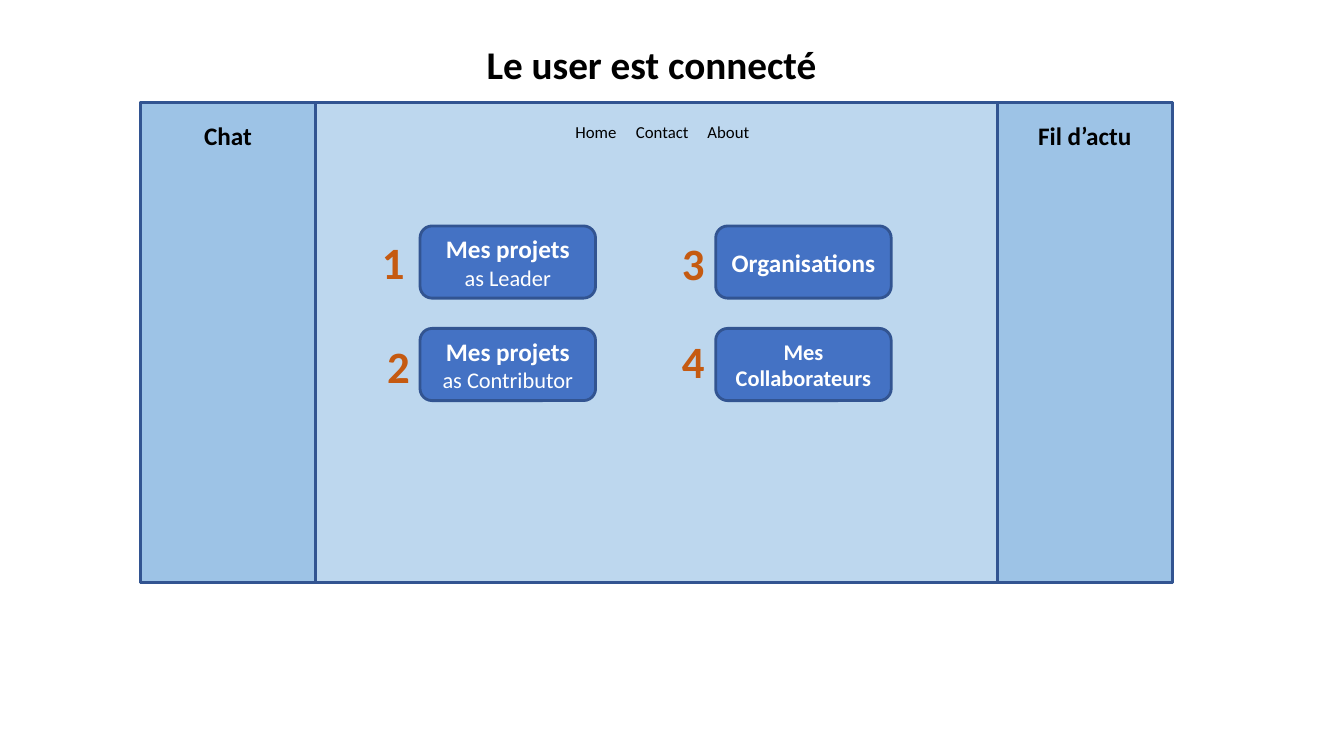
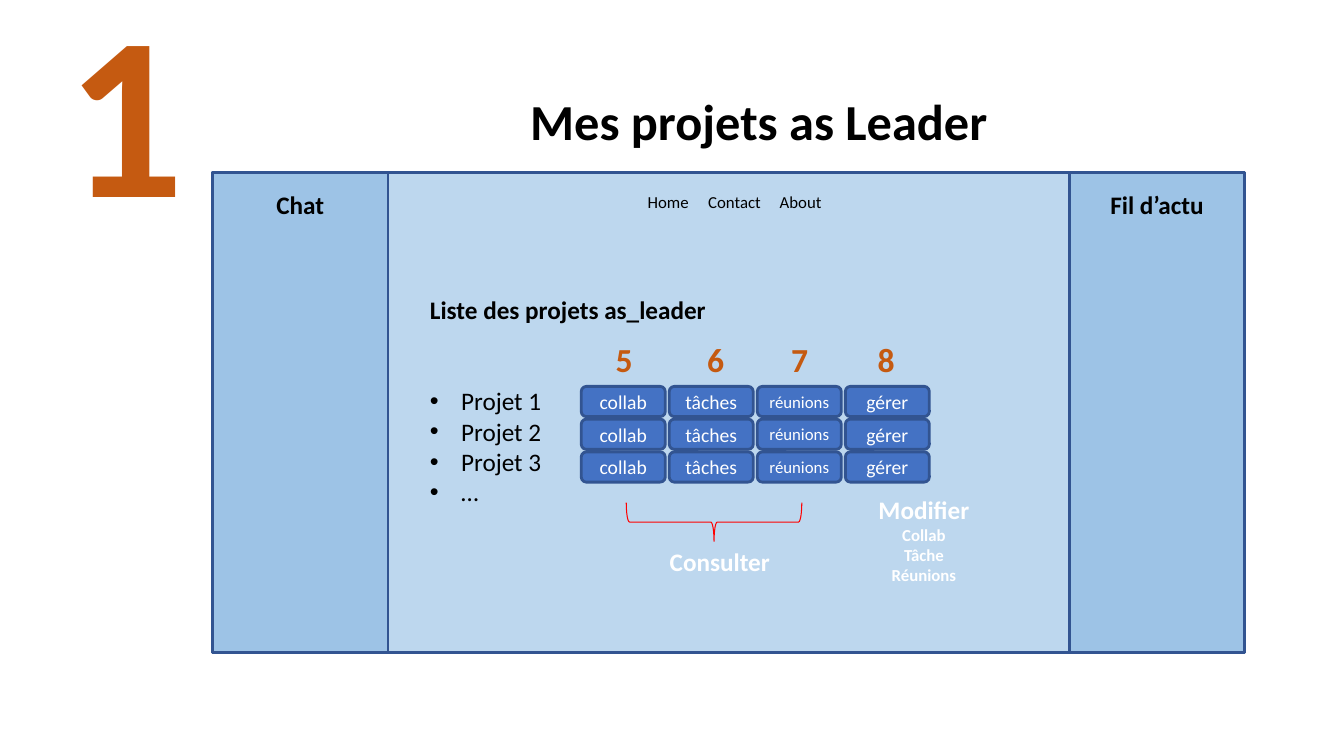
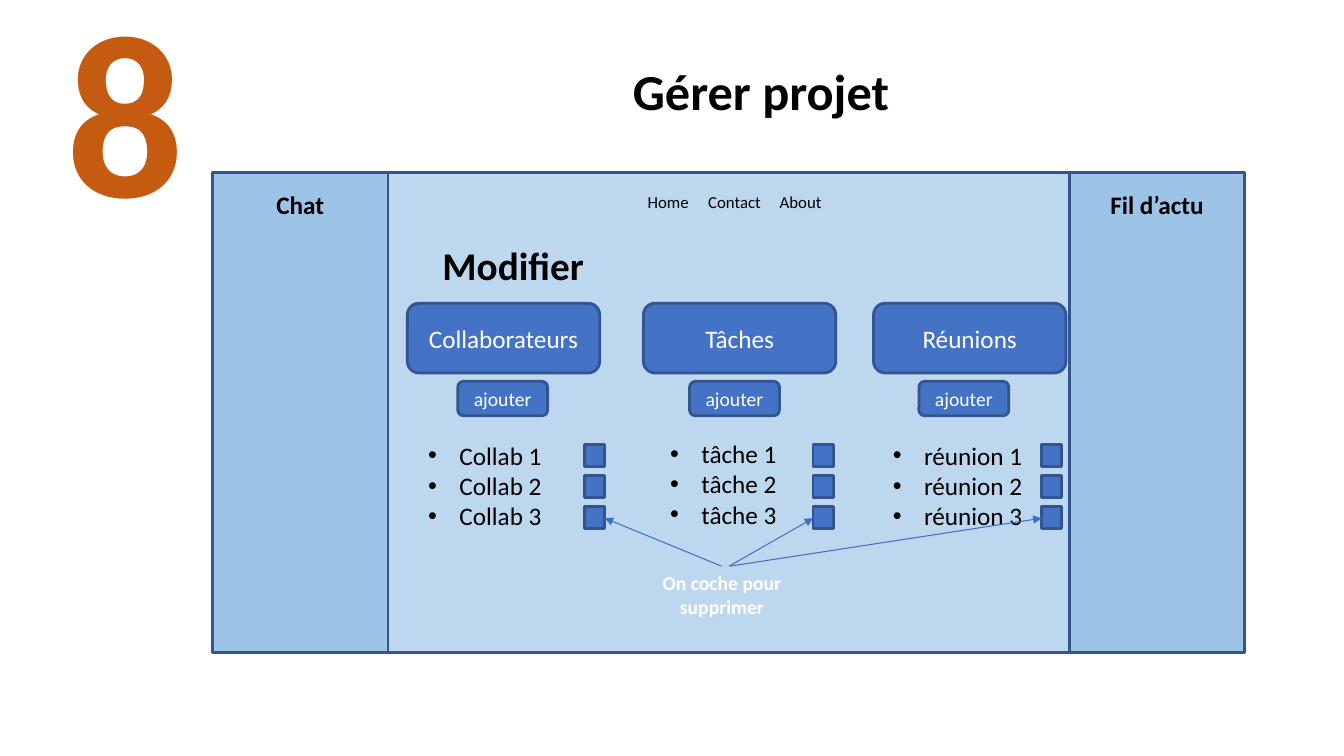
from lxml import etree
from pptx import Presentation
from pptx import util as u
from pptx.dml.color import RGBColor
from pptx.enum import shapes, text
from pptx.oxml import ns

COLUMNS, ROWS = 160, 90
WIDTH, HEIGHT = u.Inches(13.33), u.Inches(7.5)
FONT = "Calibri"
BLACK, WHITE, ORANGE, RED = "000000", "FFFFFF", "C55A11", "FF0000"
PANEL, SIDEBAR, BUTTON, OUTLINE, ARROW = "BDD7EE", "9DC3E6", "4472C4", "325491", "3F6FC3"
LEFT, CENTER = text.PP_ALIGN.LEFT, text.PP_ALIGN.CENTER
TOP, MIDDLE = text.MSO_ANCHOR.TOP, text.MSO_ANCHOR.MIDDLE
SHAPE = shapes.MSO_SHAPE


def color(value):
    return RGBColor.from_string(value)


def column(count):
    return round(WIDTH * count / COLUMNS)


def row(count):
    return round(HEIGHT * count / ROWS)


def box(left, top, width, height):
    return column(left), row(top), column(width), row(height)


def add_xml(parent, tag, **attributes):
    return etree.SubElement(parent, ns.qn(tag), **attributes)


class Mockup:
    """Draws wireframe elements in one style on the current slide."""

    def __init__(self):
        self.presentation = Presentation()
        self.presentation.slide_width = WIDTH
        self.presentation.slide_height = HEIGHT
        self.slide = None

    def start(self, title, place, size):
        layout = self.presentation.slide_layouts[5]
        self.slide = self.presentation.slides.add_slide(layout)
        shape = self.slide.shapes.title
        shape.left, shape.top, shape.width, shape.height = box(*place)
        self.set_text(shape, [(title, size, True)], BLACK, CENTER)

    def set_text(self, shape, lines, ink, align, anchor=TOP):
        frame = shape.text_frame
        frame.word_wrap = True
        frame.auto_size = text.MSO_AUTO_SIZE.NONE
        frame.vertical_anchor = anchor
        frame.margin_left = frame.margin_right = u.Inches(0.1)
        frame.margin_top = frame.margin_bottom = u.Inches(0.05)
        for index, (words, size, bold) in enumerate(lines):
            paragraph = frame.add_paragraph() if index else frame.paragraphs[0]
            paragraph.alignment = align
            run = paragraph.add_run()
            run.text = words
            run.font.name = FONT
            run.font.size = u.Pt(size)
            run.font.bold = bold
            run.font.color.rgb = color(ink)
        return frame

    def label(self, place, lines, ink=BLACK, align=CENTER):
        shape = self.slide.shapes.add_textbox(*box(*place))
        return self.set_text(shape, lines, ink, align)

    def number(self, digit, place, size):
        self.label(place, [(digit, size, True)], ORANGE, LEFT)

    def block(self, kind, place, fill=None, line=OUTLINE, weight=2):
        shape = self.slide.shapes.add_shape(kind, *box(*place))
        shape.shadow.inherit = False
        if fill:
            shape.fill.solid()
            shape.fill.fore_color.rgb = color(fill)
        else:
            shape.fill.background()
        shape.line.color.rgb = color(line)
        shape.line.width = u.Pt(weight)
        return shape

    def button(self, place, *lines):
        shape = self.block(SHAPE.ROUNDED_RECTANGLE, place, BUTTON)
        self.set_text(shape, lines, WHITE, CENTER, MIDDLE)

    def bullets(self, place, items, heading=None):
        lines = [(item, 18, False) for item in items]
        if heading:
            lines.insert(0, (heading, 18, True))
        paragraphs = self.label(place, lines, align=LEFT).paragraphs
        listed = paragraphs[1:] if heading else paragraphs
        if heading:
            listed[0].space_before = u.Pt(44)
        indent = u.Inches(0.31)
        for paragraph in listed:
            properties = paragraph._p.get_or_add_pPr()
            properties.set("marL", str(indent))
            properties.set("indent", str(-indent))
            add_xml(properties, "a:buFont", typeface="Arial")
            add_xml(properties, "a:buChar", char="•")

    def menu(self, place):
        frame = self.label(place, [("Home\tContact\tAbout", 12, False)], align=LEFT)
        frame.margin_left = u.Inches(0.8)
        tabs = add_xml(frame.paragraphs[0]._p.get_or_add_pPr(), "a:tabLst")
        for stop in (0.6, 1.31):
            add_xml(tabs, "a:tab", pos=str(u.Inches(stop)), algn="l")

    def window(self, left, top):
        width, height, side, caption = 122.9, 57.2, 20.9, 52.9
        self.block(SHAPE.RECTANGLE, (left, top, width, height), PANEL)
        for name, start in (("Fil d’actu", left + width - side), ("Chat", left)):
            self.block(SHAPE.RECTANGLE, (start, top, side, height), SIDEBAR)
            inset = (side - caption) / 2
            self.label((start + inset, top + 1.5, caption, 4.8), [(name, 18, True)])
        self.menu((left + 42.2, top + 1.7, 40.9, 3.6))

    def numbered_window(self, digit):
        self.window(25.3, 20.5)
        self.number(digit, (6.7, -4.8, 14.6, 34.4), 166)

    def arrow(self, start, end):
        connector = self.slide.shapes.add_connector(
            shapes.MSO_CONNECTOR.STRAIGHT,
            column(start[0]), row(start[1]), column(end[0]), row(end[1]))
        connector.line.color.rgb = color(ARROW)
        connector.line.width = u.Pt(0.75)
        properties = connector._element.spPr
        add_xml(properties.find(ns.qn("a:ln")), "a:tailEnd", type="triangle")
        add_xml(properties, "a:effectLst")


def build_home(mockup):
    mockup.start("Le user est connecté", (51.1, 4.2, 52.9, 6.8), 28)
    mockup.window(16.7, 12.2)
    projects = ("Mes projets", 18, True)
    left, right, upper, lower = 50, 85.2, 26.9, 39.1
    entries = [
        ("1", (44.3, 27.4), (left, upper), [projects, ("as Leader", 16, False)]),
        ("2", (44.9, 39.7), (left, lower), [projects, ("as Contributor", 16, False)]),
        ("3", (80, 27.5), (right, upper), [("Organisations", 18, True)]),
        ("4", (80, 39.1), (right, lower), [("Mes Collaborateurs", 16, True)]),
    ]
    for digit, corner, place, lines in entries:
        mockup.button((*place, 20.9, 8.6), *lines)
        mockup.number(digit, (*corner, 6.7, 7.6), 32)


def build_projects(mockup):
    mockup.start("Mes projets as Leader", (57.1, 10.1, 66.5, 8.4), 36)
    mockup.numbered_window("1")
    mockup.bullets((50, 34.4, 44.8, 26.4), ["Projet 1", "Projet 2", "Projet 3", "…"],
                   "Liste des projets as_leader")
    actions = [("5", "collab", 14, 72.1), ("6", "tâches", 14, 83),
               ("7", "réunions", 12, 93), ("8", "gérer", 14, 103.3)]
    for index, (digit, name, size, digit_left) in enumerate(actions):
        mockup.number(digit, (digit_left, 39.7, 4, 6), 24)
        for line in range(3):
            place = (69.2 + 10.48 * index, 46 + 3.9 * line, 10, 3.6)
            mockup.button(place, (name, size, False))
    brace = mockup.block(SHAPE.RIGHT_BRACE, (82.7, 51.7, 4.6, 20.9), line=RED, weight=0.75)
    brace.rotation = 90
    mockup.label((74.5, 64.4, 22.4, 4.8), [("Consulter", 18, True)], WHITE)
    details = [(name, 12, True) for name in ("Collab", "Tâche", "Réunions")]
    mockup.label((98.8, 58.3, 22.4, 12), [("Modifier", 18, True), *details], WHITE)


def build_management(mockup):
    mockup.start("Gérer projet", (52.1, 6.6, 77, 8.4), 36)
    mockup.numbered_window("8")
    mockup.label((51.5, 28.1, 72, 6.8), [("Modifier", 28, True)], align=LEFT)
    groups = [("Collaborateurs", "Collab", 48.5, 54.5, 49.8, 51.8, 69.6),
              ("Tâches", "tâche", 76.6, 82.1, 78.6, 51.6, 96.8),
              ("Réunions", "réunion", 104, 109.4, 105.1, 51.8, 124)]
    for name, item, left, add_left, list_left, list_top, check_left in groups:
        mockup.button((left, 36.1, 22.9, 8.3), (name, 18, False))
        mockup.button((add_left, 45.4, 10.7, 4.1), ("ajouter", 14, False))
        mockup.bullets((list_left, list_top, 20.9, 12),
                       [f"{item} {count}" for count in (1, 2, 3)])
        for line in range(3):
            place = (check_left, 52.9 + 3.7 * line, 2.4, 2.6)
            mockup.block(SHAPE.ACTION_BUTTON_CUSTOM, place, BUTTON)
    mockup.label((72.7, 67.4, 26.5, 6.7), [("On coche pour supprimer", 14, True)], WHITE)
    for start, end in ((85.9, 72), (86.8, 96.8), (86.9, 124)):
        mockup.arrow((start, 67.4), (end, 61.7))


mockup = Mockup()
for build in (build_home, build_projects, build_management):
    build(mockup)
mockup.presentation.save("out.pptx")
